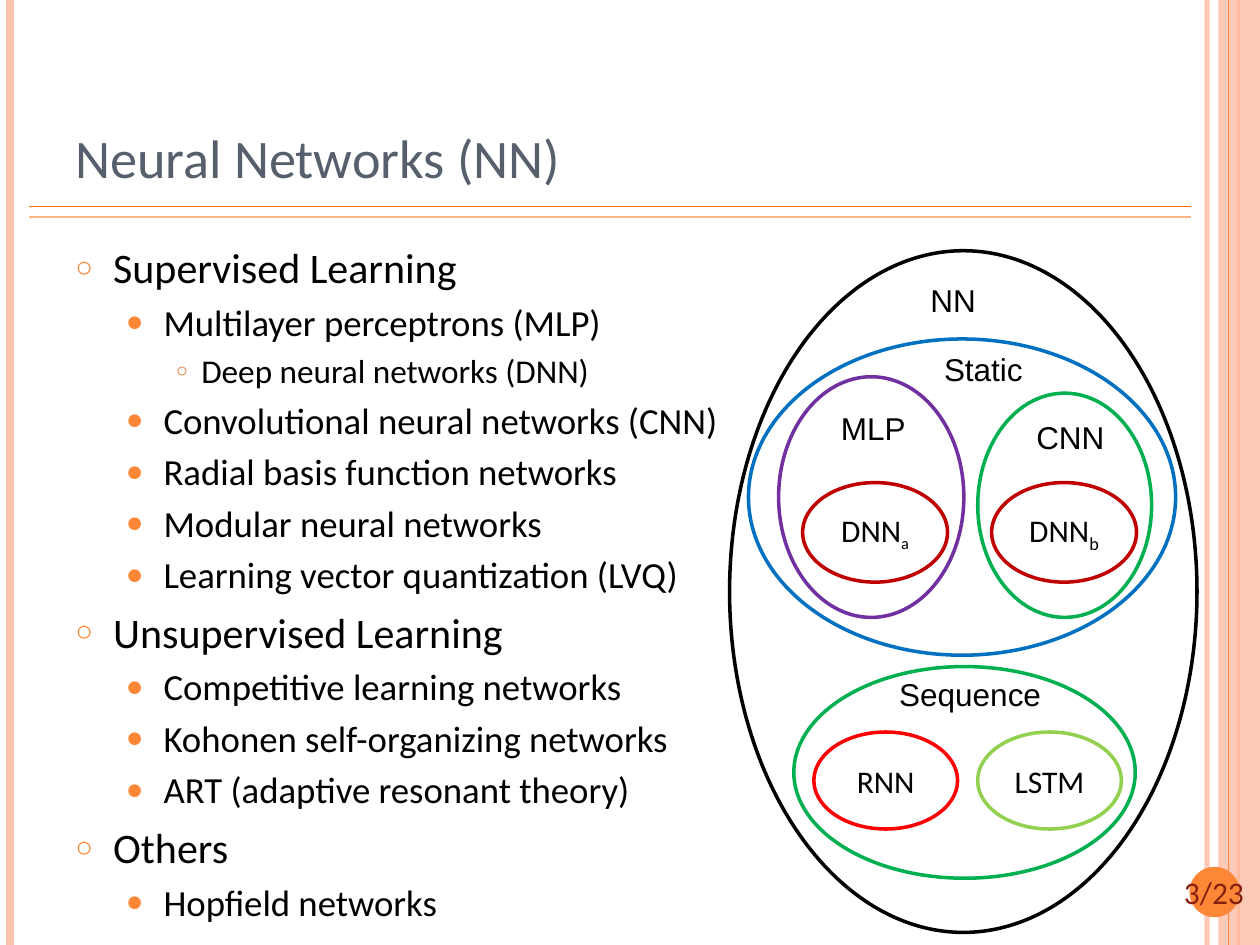
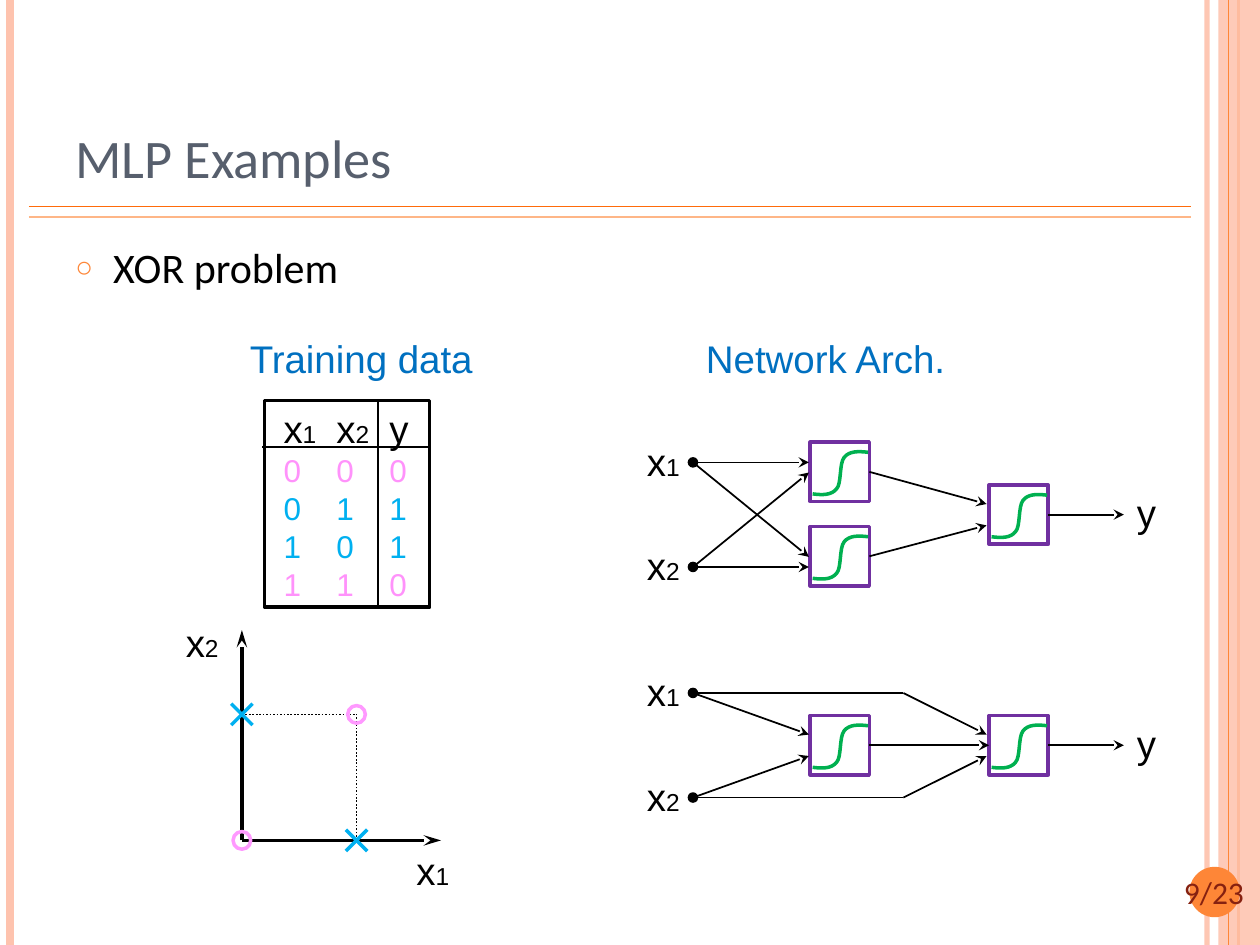
from lxml.etree import SubElement
from pptx import Presentation
from pptx.dml.color import RGBColor
from pptx.enum.dml import MSO_LINE
from pptx.enum.shapes import MSO_CONNECTOR, MSO_SHAPE as Shape
from pptx.enum.text import MSO_ANCHOR as Anchor, MSO_AUTO_SIZE as AutoSize, PP_ALIGN as Align
from pptx.oxml.ns import qn
from pptx.util import Inches, Pt

BLACK, ORANGE, PEACH = "000000", "FE8637", "FEC3AE"
BLUE, SKY, GREEN, PURPLE = "0070C0", "00B0F0", "00B050", "7030A0"
DARK_RED, PINK, RING_PINK = "C00000", "FF92FB", "FF99FF"
TITLE_COLOR, NUMBER_COLOR = "575F6D", "862110"
PAGE_COUNT = 23

SIDE_LINES = [(9.58, PEACH, 3, 93), (0.08, PEACH, 4.5, 100), (9.83, ORANGE, 1.5, 100)]
BAND_LINE = (9.75, ORANGE, 0.75, 100)
TITLE_RULES = [(1.64, "FF6B0A"), (1.72, "FEB687")]

# level: indent, hanging, space before, bullet, bullet colour, bullet percent, size
LEVELS = [
    (0.3, 0.3, 6, "○", ORANGE, 70, 24),
    (0.7, 0.3, 4.2, "●", ORANGE, 80, 21),
    (1.0, 0.2, 3.8, "○", "E07631", 60, 19),
]

NETWORK_LIST = [
    (0, "Supervised Learning"),
    (1, "Multilayer perceptrons (MLP)"),
    (2, "Deep neural networks (DNN)"),
    (1, "Convolutional neural networks (CNN)"),
    (1, "Radial basis function networks"),
    (1, "Modular neural networks"),
    (1, "Learning vector quantization (LVQ)"),
    (0, "Unsupervised Learning"),
    (1, "Competitive learning networks"),
    (1, "Kohonen self-organizing networks"),
    (1, "ART (adaptive resonant theory)"),
    (0, "Others"),
    (1, "Hopfield networks"),
]
FAMILY_ELLIPSES = [
    ((5.79, 1.99, 3.71, 5.41), BLACK, []),
    ((6.37, 3.83, 1.15, 0.79), DARK_RED, [("DNN", 18), ("a", 16, -25)]),
    ((6.18, 2.99, 1.47, 1.91), PURPLE, []),
    ((7.76, 3.12, 1.38, 1.78), GREEN, []),
    ((6.46, 5.81, 1.14, 0.77), "FF0000", [("RNN", 18)]),
    ((5.94, 2.69, 3.39, 2.51), BLUE, []),
    ((6.3, 5.29, 2.71, 1.68), GREEN, []),
    ((7.76, 5.81, 1.14, 0.77), "92D050", [("LSTM", 18)]),
    ((7.87, 3.83, 1.15, 0.79), DARK_RED, [("DNN", 18), ("b", 18, -25)]),
]
FAMILY_LABELS = [
    ("NN", 7.28, 2.18, 0.57),
    ("Static", 7.39, 2.73, 0.83),
    ("Sequence", 7.03, 5.31, 1.34),
    ("MLP", 6.57, 3.2, 0.72),
    ("CNN", 8.12, 3.27, 0.75),
]

X1, X2, Y = [("x", 22), ("1", 14)], [("x", 22), ("2", 14)], [("y", 22)]
HEADINGS = [("Training data", 1.85, 2), ("Network Arch.", 5.47, 2.13)]
XOR_HEADER = [("x", 22), ("1", 14), ("\tx", 22), ("2", 14), ("\ty", 22)]
XOR_ROWS = [(0, 0, 0), (0, 1, 1), (1, 0, 1), (1, 1, 0)]
CLASS_COLORS = [PINK, SKY]
XOR_TABS = [0.42, 0.84]
XOR_RULES = [((2.08, 3.55), (3.42, 3.55)), ((3, 3.17), (3, 4.83))]
ORIGIN, CORNER = (1.92, 6.67), (2.83, 5.67)

NEURON_SIZE = 0.47
IN1, IN2 = (5.5, 0), (5.5, 0.83)
BEND1, BEND2 = (7.17, 0), (7.17, 0.83)
OUT = (7.85, 0.18)
RESULT = (8.92, OUT[1] + NEURON_SIZE / 2)
NETWORKS = [
    {
        "top": 3.67,
        "neurons": {"upper": (6.43, -0.16), "lower": (6.43, 0.51), "out": OUT},
        "wires": [
            (IN1, (6.42, 0), True), (IN1, (6.42, 0.75), True),
            (IN2, (6.42, 0.83), True), (IN2, (6.42, 0.08), True),
            ("upper", (7.83, 0.33), True), ("lower", (7.83, 0.5), True), ("out", RESULT, True),
        ],
    },
    {
        "top": 5.5,
        "neurons": {"hidden": (6.43, 0.18), "out": OUT},
        "wires": [
            (IN1, (6.42, 0.33), True), (IN2, (6.42, 0.5), True),
            (IN1, BEND1, False), (IN2, BEND2, False),
            (BEND1, (7.83, 0.33), True), (BEND2, (7.83, 0.5), True),
            ("hidden", "out", True), ("out", RESULT, True),
        ],
    },
]
SIGMOID = [
    (0, 0.34),
    (0.08, 0.35), (0.15, 0.35), (0.19, 0.3),
    (0.23, 0.26), (0.21, 0.1), (0.25, 0.05),
    (0.29, 0), (0.36, 0), (0.44, 0.01),
]


def rgb(value):
    return RGBColor.from_string(value)


def set_alpha(shape, percent):
    if percent < 100:
        for color in shape.element.spPr.iter(qn("a:srgbClr")):
            SubElement(color, qn("a:alpha"), val=str(percent * 1000))


def write(para, spans, color, font="Arial"):
    for text, size, *baseline in spans:
        span = para.add_run()
        span.text = text
        span.font.size, span.font.name = Pt(size), font
        span.font.color.rgb = rgb(color)
        if baseline:
            span.font._element.set("baseline", str(baseline[0] * 1000))


def add_text(page, at, spans, color=BLACK, font="Arial", align=Align.CENTER, wrap=False, anchor=Anchor.TOP):
    box = page.shapes.add_textbox(*map(Inches, at))
    frame = box.text_frame
    frame.word_wrap, frame.vertical_anchor = wrap, anchor
    frame.auto_size = AutoSize.NONE if wrap else AutoSize.SHAPE_TO_FIT_TEXT
    para = frame.paragraphs[0]
    para.alignment = align
    write(para, spans, color, font)
    return para


def add_symbol(page, left, top, spans):
    width = 0.47 if len(spans) > 1 else 0.36
    para = add_text(page, (left, top, width, 0.35), spans)
    para.line_spacing, para.space_before = 0.65, Pt(6.6)


def style_figure(shape, fill, line, width=2):
    shape.shadow.inherit = False
    if fill:
        shape.fill.solid()
        shape.fill.fore_color.rgb = rgb(fill)
    else:
        shape.fill.background()
    if line:
        shape.line.color.rgb, shape.line.width = rgb(line), Pt(width)
    else:
        shape.line.fill.background()


def add_figure(page, kind, at, fill=None, line=None, width=2):
    shape = page.shapes.add_shape(kind, *map(Inches, at))
    style_figure(shape, fill, line, width)
    return shape


def add_line(page, start, end, color=BLACK, width=1, arrow=None, dash=None, alpha=100):
    line = page.shapes.add_connector(MSO_CONNECTOR.STRAIGHT, *map(Inches, (*start, *end)))
    line.line.color.rgb, line.line.width = rgb(color), Pt(width)
    if dash:
        line.line.dash_style = dash
    if arrow:
        SubElement(line.element.spPr.find(qn("a:ln")), qn("a:tailEnd"), type="stealth", w="med", len=arrow)
    set_alpha(line, alpha)
    SubElement(line.element.spPr, qn("a:effectLst"))
    return line


def add_side_line(page, x, color, width, alpha):
    add_line(page, (x, 0), (x, 7.5), color, width, alpha=alpha)


def add_dot(page, center, size, fill, line, width):
    x, y = center
    add_figure(page, Shape.OVAL, (x - size / 2, y - size / 2, size, size), fill, line, width)


def add_list(page, items):
    box = page.shapes.add_textbox(*map(Inches, (0.5, 1.87, 8.17, 5.21)))
    frame = box.text_frame
    frame.word_wrap = True
    for number, (level, text) in enumerate(items):
        indent, hanging, before, bullet, color, percent, size = LEVELS[level]
        para = frame.add_paragraph() if number else frame.paragraphs[0]
        para.level, para.space_before = level, Pt(before)
        props = para._p.get_or_add_pPr()
        props.set("marL", str(Inches(indent)))
        props.set("indent", str(-Inches(hanging)))
        SubElement(SubElement(props, qn("a:buClr")), qn("a:srgbClr"), val=color)
        SubElement(props, qn("a:buSzPct"), val=str(percent * 1000))
        SubElement(props, qn("a:buFont"), typeface="Arial")
        SubElement(props, qn("a:buChar"), char=bullet)
        write(para, [(text, size)], BLACK, "Calibri")


def add_page(deck, title, number, items):
    page = deck.slides.add_slide(deck.slide_layouts[6])
    for side_line in SIDE_LINES:
        add_side_line(page, *side_line)
    band = add_figure(page, Shape.RECTANGLE, (9.67, 0, 0.33, 7.5), PEACH)
    set_alpha(band, 87)
    add_side_line(page, *BAND_LINE)
    for y, color in TITLE_RULES:
        add_line(page, (0.23, y), (9.45, y), color)
    add_figure(page, Shape.OVAL, (9.44, 6.88, 0.4, 0.4), ORANGE)
    add_text(page, (9.18, 6.88, 0.91, 0.4), [(f"{number}/{PAGE_COUNT}", 18)], NUMBER_COLOR, "Calibri", wrap=True)
    add_text(page, (0.5, 0.3, 8.64, 1.25), [(title, 31)], TITLE_COLOR, "Calibri", Align.LEFT, True, Anchor.BOTTOM)
    add_list(page, items)
    return page


def add_families(page):
    for at, color, spans in FAMILY_ELLIPSES:
        frame = add_figure(page, Shape.OVAL, at, line=color).text_frame
        frame.word_wrap, frame.vertical_anchor = False, Anchor.MIDDLE
        frame.paragraphs[0].alignment = Align.CENTER
        write(frame.paragraphs[0], spans, BLACK, "Calibri")
    for text, left, top, width in FAMILY_LABELS:
        add_text(page, (left, top, width, 0.4), [(text, 18)])


def add_training_data(page):
    frame = add_figure(page, Shape.RECTANGLE, (2.1, 3.18, 1.31, 1.64), line=BLACK).text_frame
    frame.word_wrap, frame.vertical_anchor = True, Anchor.MIDDLE
    frame.margin_left, frame.margin_right = Inches(0.15), 0
    lines = [(BLACK, XOR_HEADER)]
    lines += [(CLASS_COLORS[row[-1]], [("\t".join(map(str, row)), 18)]) for row in XOR_ROWS]
    for number, (color, spans) in enumerate(lines):
        para = frame.add_paragraph() if number else frame.paragraphs[0]
        para.alignment = Align.LEFT
        stops = SubElement(para._p.get_or_add_pPr(), qn("a:tabLst"))
        for stop in XOR_TABS:
            SubElement(stops, qn("a:tab"), pos=str(Inches(stop)), algn="l")
        write(para, spans, color)
    for start, end in XOR_RULES:
        add_line(page, start, end)


def add_plot(page):
    (left, bottom), (right, top) = ORIGIN, CORNER
    for start in ((left, top), (right, bottom)):
        add_line(page, start, CORNER, dash=MSO_LINE.ROUND_DOT)
    for tip in ((3.5, bottom), (left, 5)):
        add_line(page, ORIGIN, tip, width=2, arrow="lg")
    add_symbol(page, 3.2, 6.79, X1)
    add_symbol(page, 1.37, 4.98, X2)
    half = 0.085
    for x, y in ((right, bottom), (left, top)):
        for slope in (half, -half):
            add_line(page, (x - half, y + slope), (x + half, y - slope), SKY, 2)
    for point in (CORNER, ORIGIN):
        add_dot(page, point, 0.14, None, RING_PINK, 2)


def add_sigmoid(page, left, top):
    points = [(Inches(left + x), Inches(top + y)) for x, y in SIGMOID]
    builder = page.shapes.build_freeform(*points[0])
    builder.add_line_segments(points[1:], close=False)
    shape = builder.convert_to_shape()
    segments = list(shape.element.spPr.iter(qn("a:lnTo")))
    outline = segments[0].getparent()
    for first in range(0, len(segments), 3):
        curve = SubElement(outline, qn("a:cubicBezTo"))
        for segment in segments[first:first + 3]:
            curve.append(segment[0])
            outline.remove(segment)
    style_figure(shape, None, GREEN)


def add_network(page, top, neurons, wires):
    for left, offset, spans in ((5.03, -0.13, X1), (5.03, 0.7, X2), (8.92, 0.28, Y)):
        add_symbol(page, left, top + offset, spans)
    boxes = {}
    for name, (x, y) in neurons.items():
        boxes[name] = add_figure(page, Shape.RECTANGLE, (x, top + y, NEURON_SIZE, NEURON_SIZE), line=PURPLE)
        add_sigmoid(page, x + 0.02, top + y + 0.07)
    for start, end, arrow in wires:
        (x1, y1), (x2, y2) = (neurons.get(spot, spot) for spot in (start, end))
        wire = add_line(page, (x1, top + y1), (x2, top + y2), arrow="med" if arrow else None)
        if start in boxes:
            wire.begin_connect(boxes[start], 3)
        if end in boxes:
            wire.end_connect(boxes[end], 1)
    for x, y in (IN1, IN2):
        add_dot(page, (x, top + y), 0.07, BLACK, BLACK, 1)


def main():
    deck = Presentation()
    deck.slide_width, deck.slide_height = Inches(10), Inches(7.5)
    add_families(add_page(deck, "Neural Networks (NN)", 3, NETWORK_LIST))
    page = add_page(deck, "MLP Examples", 9, [(0, "XOR problem")])
    for text, left, width in HEADINGS:
        add_text(page, (left, 2.61, width, 0.47), [(text, 22)], BLUE, align=Align.RIGHT)
    add_training_data(page)
    add_plot(page)
    for network in NETWORKS:
        add_network(page, **network)
    deck.save("out.pptx")


if __name__ == "__main__":
    main()
